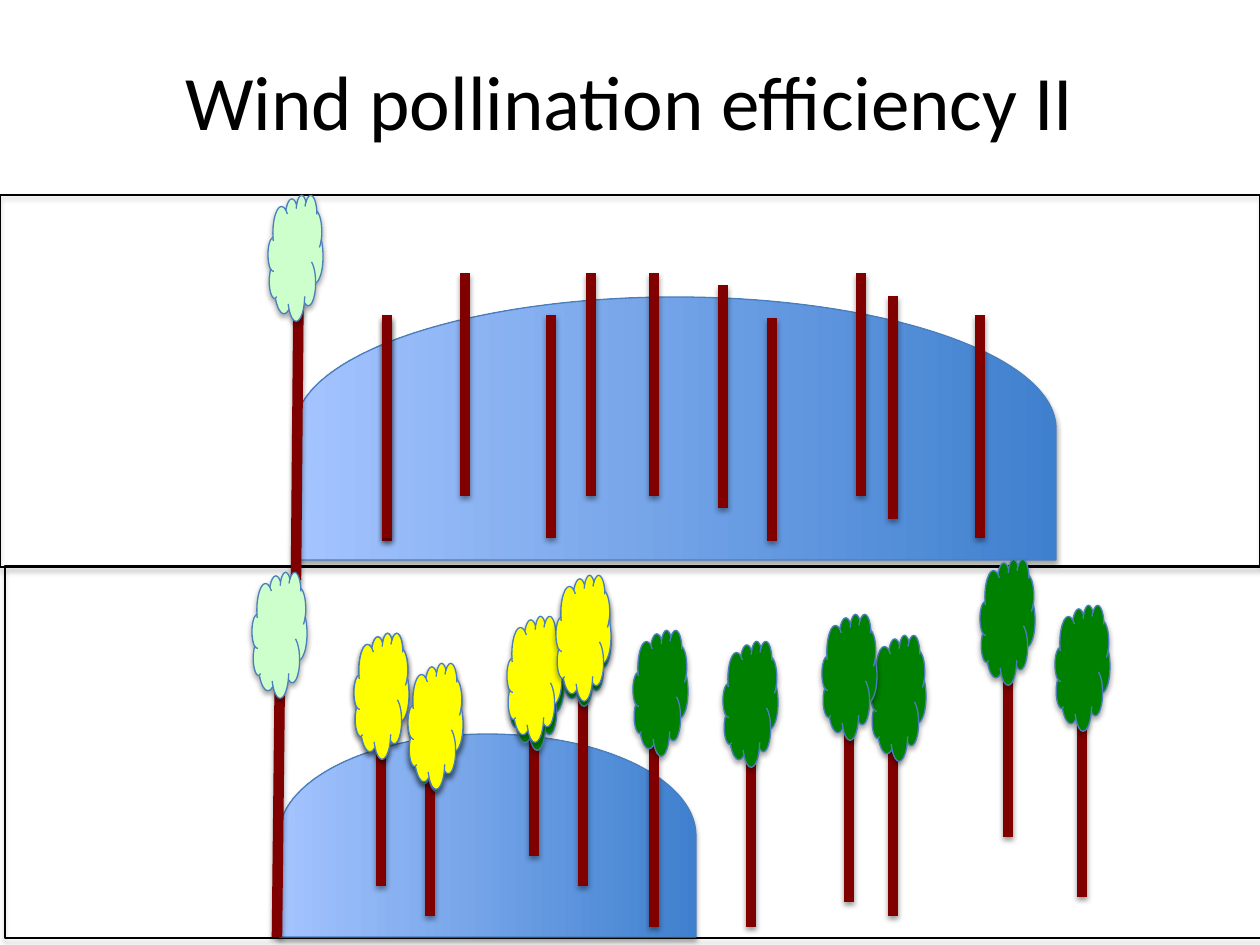
from lxml import etree
from pptx import Presentation
from pptx import util as u
from pptx.dml.color import RGBColor
from pptx.enum import shapes, text
from pptx.oxml.ns import qn

PX = u.Inches(1) / 126
BLACK = RGBColor(0x00, 0x00, 0x00)
OUTLINE = RGBColor(0x4B, 0x7E, 0xBC)
DARK_BLUE = RGBColor(0x3F, 0x80, 0xCE)
LIGHT_BLUE = RGBColor(0xA4, 0xC4, 0xFF)
BARK = RGBColor(0x80, 0x00, 0x00)
GREEN = RGBColor(0x00, 0x80, 0x00)
YELLOW = RGBColor(0xFF, 0xFF, 0x00)
PALE_GREEN = RGBColor(0xCC, 0xFF, 0xCC)

TRUNK_HEIGHT = 223
CROWN_WIDTH, CROWN_HEIGHT = 55, 126

# Left and top of each panel, then of each pollen cloud before its quarter turn
PANELS = [(0, 195), (5, 566)]
POLLEN = [(544, 48, 263, 761), (386, 627, 203, 417)]

# Foot and tip of the two pollen-giving trees
SOURCE_TRUNKS = [(296, 580, 299, 243), (277, 937, 280, 663)]

# Centre and top of the other trunks
BARE_TRUNKS = [(723, 285), (387, 318), (465, 273), (551, 315), (654, 273),
               (861, 273), (893, 296), (772, 318), (387, 315), (591, 273),
               (980, 315)]
LEAFY_TRUNKS = [(534, 633), (430, 693), (381, 663), (583, 663), (751, 704),
                (654, 704), (849, 679), (893, 693), (1008, 614), (1082, 674)]

# Left and top of the crowns, from back to front
CROWNS = [
    (GREEN, [(354, 633), (408, 665), (871, 635), (822, 614), (723, 641),
             (980, 559), (1055, 605), (509, 624), (556, 580), (633, 630)]),
    (YELLOW, [(354, 633), (408, 663), (507, 616), (556, 575)]),
    (PALE_GREEN, [(268, 195), (252, 572)]),
]


def px(*lengths):
    return [round(length * PX) for length in lengths]


def add_shadow(properties, distance, opacity):
    """Give shape properties a soft shadow that falls straight down."""
    effects = properties.find(qn("a:effectLst"))
    if effects is None:
        effects = etree.SubElement(properties, qn("a:effectLst"))
    shadow = etree.SubElement(
        effects, qn("a:outerShdw"), blurRad=str(u.Pt(3.1)),
        dist=str(u.Pt(distance)), dir="5400000", rotWithShape="0")
    color = etree.SubElement(shadow, qn("a:srgbClr"), val=str(BLACK))
    etree.SubElement(color, qn("a:alpha"), val=str(opacity * 1000))


def add_text(page, words, *, left, top, width, height, size, color, font):
    box = page.shapes.add_textbox(*px(left, top, width, height))
    frame = box.text_frame
    frame.word_wrap = True
    frame.vertical_anchor = text.MSO_ANCHOR.MIDDLE
    para = frame.paragraphs[0]
    para.alignment = text.PP_ALIGN.CENTER
    span = para.add_run()
    span.text = words
    span.font.size = u.Pt(size)
    span.font.name = font
    span.font.color.rgb = color


def add_outlined(page, kind, left, top, width, height, line=OUTLINE):
    shape = page.shapes.add_shape(kind, *px(left, top, width, height))
    shape.line.color.rgb = line
    shape.line.width = u.Pt(0.75)
    shape.shadow.inherit = False
    add_shadow(shape._element.spPr, distance=1.8, opacity=35)
    return shape


def add_panel(page, left, top):
    panel = add_outlined(page, shapes.MSO_SHAPE.RECTANGLE,
                         left, top, 1260, 372, line=BLACK)
    panel.fill.background()


def add_pollen(page, left, top, width, height):
    pollen = add_outlined(page, shapes.MSO_SHAPE.FLOWCHART_DELAY,
                          left, top, width, height)
    pollen.rotation = 270
    pollen.fill.gradient()
    pollen.fill.gradient_angle = 90
    for stop, color in zip(pollen.fill.gradient_stops, (DARK_BLUE, LIGHT_BLUE)):
        stop.color.rgb = color


def add_trunk(page, foot_x, foot_y, tip_x, tip_y):
    trunk = page.shapes.add_connector(shapes.MSO_CONNECTOR.STRAIGHT,
                                      *px(foot_x, foot_y, tip_x, tip_y))
    trunk.line.color.rgb = BARK
    trunk.line.width = u.Pt(6)
    add_shadow(trunk._element.spPr, distance=1.6, opacity=38)


def add_crown(page, left, top, color):
    crown = add_outlined(page, shapes.MSO_SHAPE.CLOUD,
                         left, top, CROWN_WIDTH, CROWN_HEIGHT)
    crown.fill.solid()
    crown.fill.fore_color.rgb = color


def main():
    deck = Presentation()
    deck.slide_width, deck.slide_height = px(1260, 945)
    page = deck.slides.add_slide(deck.slide_layouts[6])

    # Title
    add_text(page, "Wind pollination efficiency II", left=63, top=21,
             width=1134, height=158, size=44, color=BLACK, font="Calibri")

    # Panels and pollen clouds
    for panel in PANELS:
        add_panel(page, *panel)
    for pollen in POLLEN:
        add_pollen(page, *pollen)

    # Trees
    for trunk in SOURCE_TRUNKS:
        add_trunk(page, *trunk)
    for center, top in BARE_TRUNKS + LEAFY_TRUNKS:
        add_trunk(page, center, top + TRUNK_HEIGHT, center, top)
    for color, places in CROWNS:
        for left, top in places:
            add_crown(page, left, top, color)

    deck.save("out.pptx")


if __name__ == "__main__":
    main()
